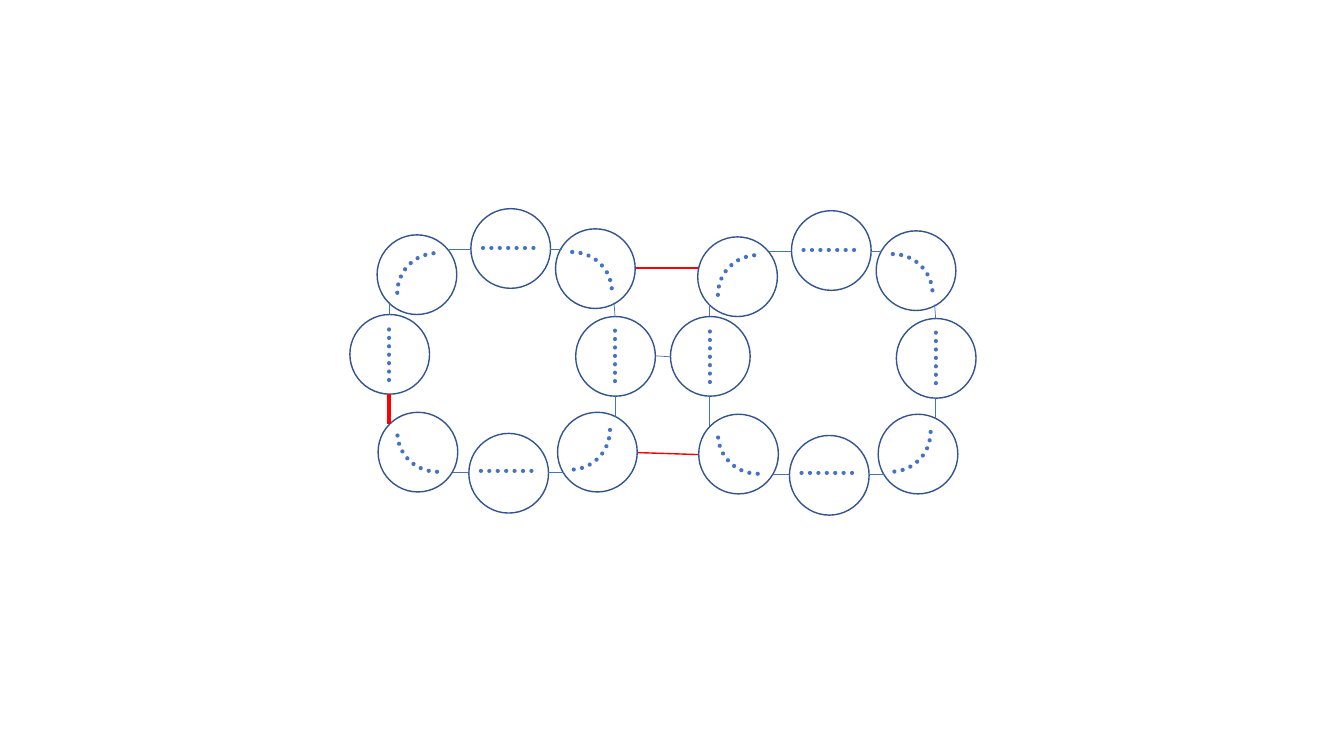
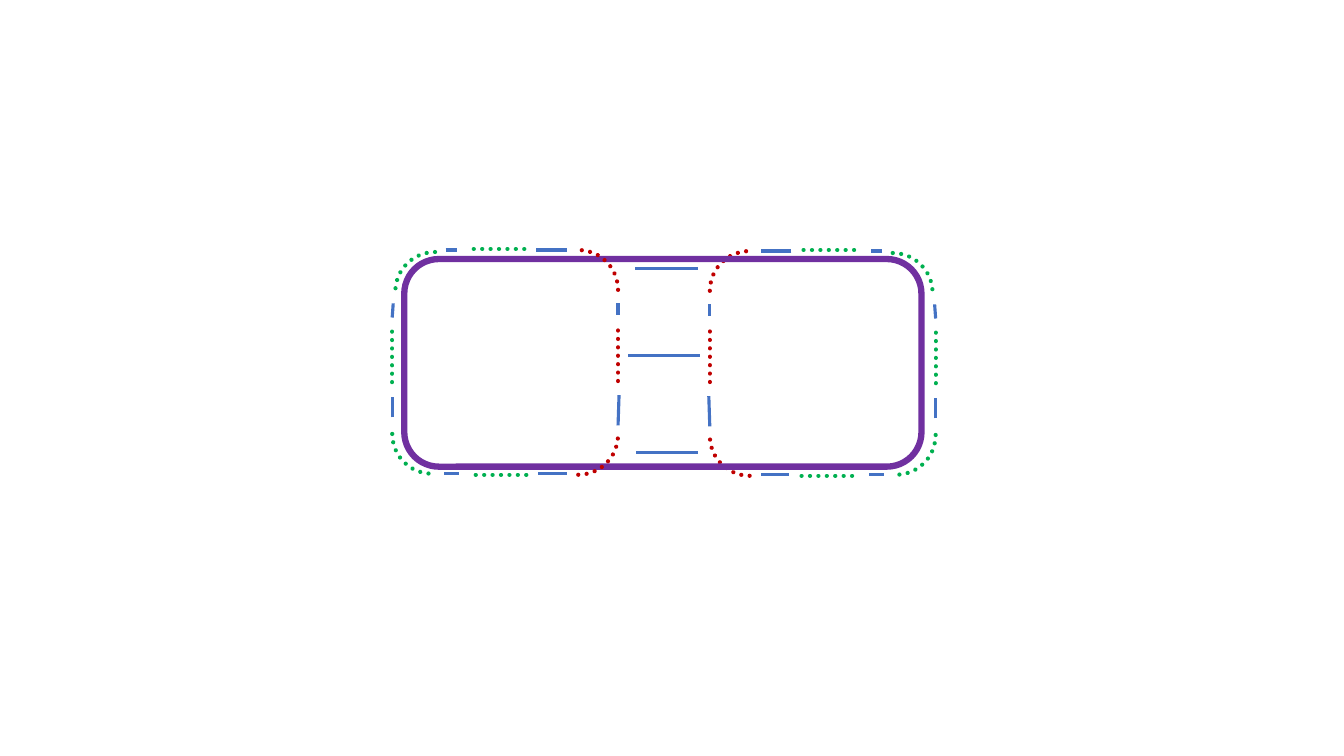
from lxml.etree import SubElement
from pptx import Presentation
from pptx.dml.color import RGBColor
from pptx.enum.dml import MSO_LINE
from pptx.enum.shapes import MSO_CONNECTOR, MSO_SHAPE
from pptx.oxml.ns import qn
from pptx.util import Inches, Pt

BLUE = RGBColor(0x44, 0x72, 0xC4)
NAVY = RGBColor(0x32, 0x54, 0x91)
RED = RGBColor(0xFF, 0x00, 0x00)
DARK_RED = RGBColor(0xC0, 0x00, 0x00)
GREEN = RGBColor(0x00, 0xB0, 0x50)
PURPLE = RGBColor(0x70, 0x30, 0xA0)

SIZE = 0.79  # side of every circle and arc
DOT = 3      # width of dotted strokes

# Slide 1: each bead is a circle corner plus a dotted arc (left, top, turn)
# or a dotted line (x1, y1, x2, y2)
BEADS = [
    ((5.51, 2.27), (5.28, 2.5, 0)),
    ((5.71, 3.14), (6.1, 3.28, 6.1, 3.84)),
    ((4.67, 2.07), (4.79, 2.46, 5.35, 2.46)),
    ((3.74, 2.33), (3.94, 2.51, 270)),
    ((3.47, 3.12), (3.86, 3.77, 3.86, 3.21)),
    ((3.75, 4.09), (3.94, 3.89, 180)),
    ((4.65, 4.3), (4.77, 4.67, 5.33, 4.67)),
    ((5.53, 4.09), (5.26, 3.87, 90)),
]
LINKS = [
    (4.67, 2.47, 4.45, 2.47), (3.86, 3, 3.86, 3.12),
    (4.49, 4.69, 4.65, 4.69), (5.44, 4.69, 5.59, 4.69),
    (6.1, 4.14, 6.1, 3.93), (6.1, 3.14, 6.09, 3), (5.57, 2.47, 5.46, 2.47),
]
SIDE = (3.86, 3.91, 3.86, 4.21)
# Ring offset, then colour and width of its lower left link
RINGS = [(0, 0, RED, 3), (3.18, 0.02, BLUE, 0.5)]
JOINS = [
    ((6.3, 2.66, 6.92, 2.66), RED, 1.5),
    ((6.32, 4.49, 6.93, 4.51), RED, 1),
    ((6.5, 3.53, 6.65, 3.54), BLUE, 0.5),
]

# Slide 2: right half; the left half is its mirror image
DOTTED = [
    ((8.46, 2.51, 0), GREEN),
    ((9.28, 3.3, 9.28, 3.86), GREEN),
    ((7.97, 2.48, 8.53, 2.48), GREEN),
    ((7.04, 2.49, 270), DARK_RED),
    ((7.04, 3.79, 7.04, 3.23), DARK_RED),
    ((7.04, 3.93, 180), DARK_RED),
    ((7.95, 4.72, 8.51, 4.72), GREEN),
    ((8.49, 3.92, 90), GREEN),
]
DASHES = [
    (7.85, 2.49, 7.55, 2.49), (7.04, 3.02, 7.04, 3.14),
    (7.03, 3.93, 7.04, 4.23), (7.55, 4.71, 7.83, 4.71),
    (8.62, 4.71, 8.77, 4.71), (9.28, 4.15, 9.28, 3.95),
    (9.28, 3.16, 9.27, 3.02), (8.75, 2.49, 8.64, 2.49),
]
BARS = [(6.3, 2.66, 6.92, 2.66), (6.31, 4.49, 6.92, 4.49),
        (6.23, 3.53, 6.94, 3.53)]
FRAME = (4.01, 2.57, 5.13, 2.06)
MIRROR, LIFT = 13.17, 0.01


def stroke(item, color, width, dotted=False):
    item.line.color.rgb = color
    item.line.width = Pt(width)
    if dotted:
        item.line.dash_style = MSO_LINE.ROUND_DOT
        item.line._get_or_add_ln().set("cap", "rnd")


def add_line(shapes, ends, color, width, dotted=False):
    line = shapes.add_connector(MSO_CONNECTOR.STRAIGHT, *map(Inches, ends))
    stroke(line, color, width, dotted)
    SubElement(line._element.spPr, qn("a:effectLst"))


def add_shape(shapes, kind, box, color, width, dotted=False):
    shape = shapes.add_shape(kind, *map(Inches, box))
    shape.shadow.inherit = False
    shape.fill.background()
    stroke(shape, color, width, dotted)
    return shape


def add_dots(shapes, part, color, flip=False):
    """Draw a dotted line, or a dotted quarter arc for a three-part tuple."""
    if len(part) == 4:
        add_line(shapes, part, color, DOT, True)
        return
    left, top, turn = part
    arc = add_shape(shapes, MSO_SHAPE.ARC, (left, top, SIZE, SIZE),
                    color, DOT, True)
    arc.rotation = turn
    if flip:
        arc._element.spPr.xfrm.set("flipH", "1")


def shift(part, dx, dy):
    if len(part) == 3:
        return part[0] + dx, part[1] + dy, part[2]
    return tuple(v + (dy if i % 2 else dx) for i, v in enumerate(part))


def mirror(part):
    if len(part) == 3:
        return MIRROR - part[0] - SIZE, part[1] - LIFT, -part[2] % 360
    x1, y1, x2, y2 = part
    return MIRROR - x1, y1 - LIFT, MIRROR - x2, y2 - LIFT


def draw_beads(shapes):
    for ends, color, width in JOINS:
        add_line(shapes, ends, color, width)
    for dx, dy, color, width in RINGS:
        for corner, dots in BEADS:
            bead = shapes.add_group_shape().shapes
            add_dots(bead, shift(dots, dx, dy), BLUE)
            add_shape(bead, MSO_SHAPE.OVAL,
                      (*shift(corner, dx, dy), SIZE, SIZE), NAVY, 1)
        for ends in LINKS:
            add_line(shapes, shift(ends, dx, dy), BLUE, 0.5)
        add_line(shapes, shift(SIDE, dx, dy), color, width)


def draw_half(shapes, flip):
    half = shapes.add_group_shape().shapes
    for part, color in DOTTED:
        add_dots(half, mirror(part) if flip else part, color, flip)
    for ends in DASHES:
        add_line(half, mirror(ends) if flip else ends, BLUE, 2.25)


def draw_frame(shapes):
    for ends in BARS:
        add_line(shapes, ends, BLUE, 2.25)
    draw_half(shapes, False)
    add_shape(shapes, MSO_SHAPE.ROUNDED_RECTANGLE, FRAME, PURPLE, 4.5)
    draw_half(shapes, True)


def main():
    deck = Presentation()
    deck.slide_width, deck.slide_height = Inches(13.33), Inches(7.5)
    for draw in (draw_beads, draw_frame):
        draw(deck.slides.add_slide(deck.slide_layouts[6]).shapes)
    deck.save("out.pptx")


if __name__ == "__main__":
    main()
